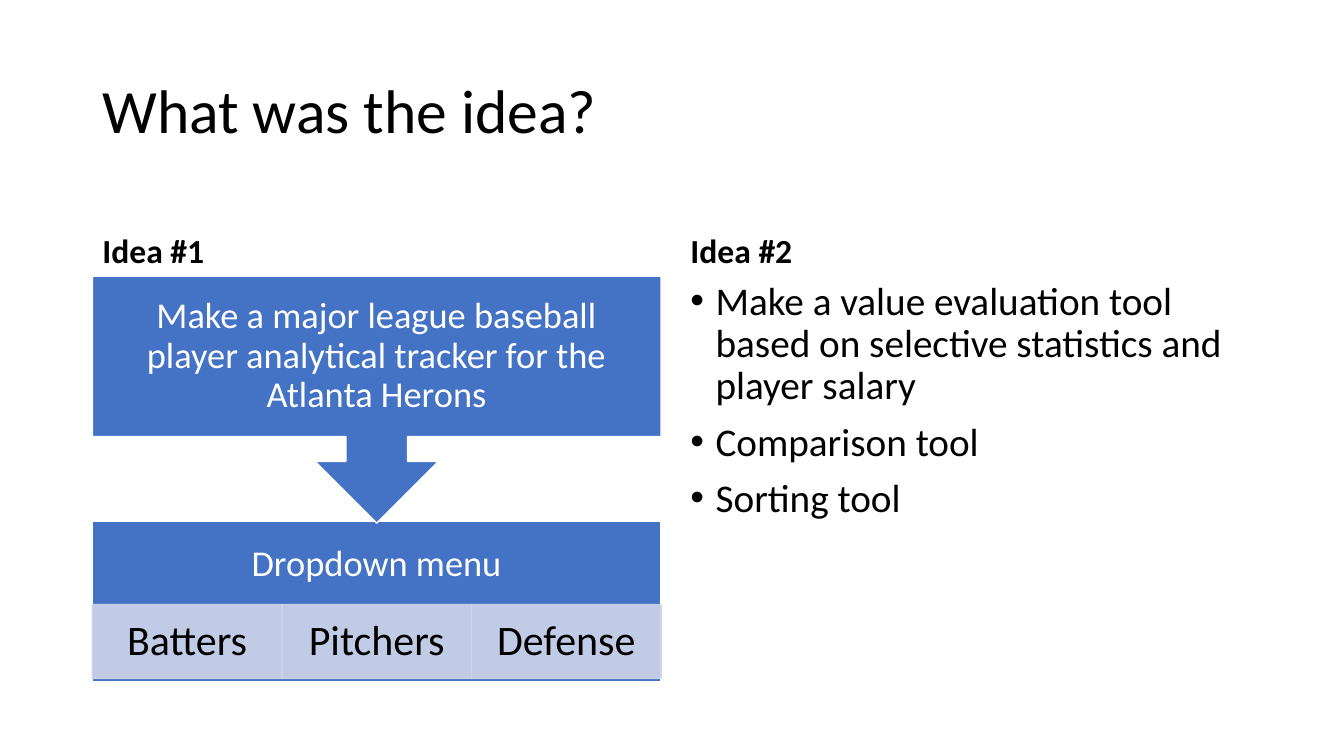
from collections import namedtuple

from lxml import etree
from pptx import Presentation
from pptx.dml.color import RGBColor
from pptx.enum.shapes import MSO_SHAPE
from pptx.enum.text import MSO_ANCHOR, MSO_AUTO_SIZE, PP_ALIGN
from pptx.oxml.ns import qn
from pptx.util import Pt

RECTANGLE = MSO_SHAPE.RECTANGLE
ARROW_CALLOUT = MSO_SHAPE.UP_ARROW_CALLOUT
TOP, MIDDLE, BOTTOM = MSO_ANCHOR.TOP, MSO_ANCHOR.MIDDLE, MSO_ANCHOR.BOTTOM
LEFT, CENTER = PP_ALIGN.LEFT, PP_ALIGN.CENTER
NO_AUTOFIT = MSO_AUTO_SIZE.NONE

COLORS = {"black": "000000", "white": "FFFFFF", "blue": "4472C4", "pale": "CFD5EA"}
Box = namedtuple("Box", "left top width height")

TITLE_BOX = Box(66, 28.8, 828, 104.4)
LEFT_COLUMN = Box(66, 132.4, 406.2, 355)
RIGHT_COLUMN = Box(486, 132.4, 408.2, 355)
HEADING_HEIGHT = 64.8
STEP_INSETS = (14.4, 14.4)
TILE_INSETS = (16.5, 3)


def color(name):
    return RGBColor.from_string(COLORS[name])


def set_values(target, values):
    for name, value in values.items():
        setattr(target, name, value)


def place(shape, box):
    set_values(shape, {name: Pt(value) for name, value in box._asdict().items()})


def write(shape, lines, size, ink="black", bold=False, anchor=MIDDLE,
          align=LEFT, before=0, insets=(7.2, 3.6)):
    frame = shape.text_frame
    frame.text = "\n".join(lines)
    side, edge = map(Pt, insets)
    set_values(frame, {
        "word_wrap": True, "auto_size": NO_AUTOFIT, "vertical_anchor": anchor,
        "margin_left": side, "margin_right": side,
        "margin_top": edge, "margin_bottom": edge,
    })
    for paragraph in frame.paragraphs:
        set_values(paragraph, {"alignment": align, "line_spacing": 0.9,
                               "space_before": Pt(before), "space_after": Pt(0)})
        for run in paragraph.runs:
            set_values(run.font, {"name": "Calibri", "size": Pt(size), "bold": bold})
            run.font.color.rgb = color(ink)


def add_panel(slide, kind, box, fill, line, opacity=100):
    shape = slide.shapes.add_shape(kind, *map(Pt, box))
    shape.shadow.inherit = False
    shape.fill.solid()
    shape.fill.fore_color.rgb = color(fill)
    shape.line.color.rgb = color(line)
    shape.line.width = Pt(1)
    if opacity < 100:
        for node in shape._element.spPr.iter(qn("a:srgbClr")):
            etree.SubElement(node, qn("a:alpha"), val=str(opacity * 1000))
    return shape


def add_step(slide, kind, box, text, text_height, rotation=0):
    panel = add_panel(slide, kind, box, "blue", "white")
    panel.rotation = rotation
    label = slide.shapes.add_textbox(*map(Pt, box._replace(height=text_height)))
    write(label, [text], 26, "white", align=CENTER, insets=STEP_INSETS)


def add_tiles(slide, box, names):
    width = box.width / len(names)
    for index, name in enumerate(names):
        tile_box = box._replace(left=box.left + index * width, width=width)
        tile = add_panel(slide, RECTANGLE, tile_box, "pale", "pale", opacity=90)
        write(tile, [name], 30, align=CENTER, insets=TILE_INSETS)


def add_flow(slide, box):
    menu = box._replace(top=box.top + 174.9, height=115.2)
    add_step(slide, RECTANGLE, menu, "Dropdown menu", 62)
    add_tiles(slide, menu._replace(top=menu.top + 59.8, height=52.8),
              ["Batters", "Pitchers", "Defense"])
    add_step(slide, ARROW_CALLOUT, box._replace(height=176.4),
             "Make a major league baseball player analytical tracker for the Atlanta Herons",
             114.6, rotation=180)


def fill_heading(placeholder, box, text):
    place(placeholder, box._replace(height=HEADING_HEIGHT))
    write(placeholder, [text], 24, bold=True, anchor=BOTTOM, before=10)


def fill_bullets(placeholder, box, lines):
    place(placeholder, box)
    write(placeholder, lines, 28, anchor=TOP, before=10)
    for paragraph in placeholder.text_frame.paragraphs:
        properties = paragraph._p.get_or_add_pPr()
        properties.set("marL", str(Pt(18)))
        properties.set("indent", str(-Pt(18)))
        etree.SubElement(properties, qn("a:buFont"), typeface="Arial")
        etree.SubElement(properties, qn("a:buChar"), char="•")


def below_heading(column):
    return column._replace(top=column.top + HEADING_HEIGHT,
                           height=column.height - HEADING_HEIGHT)


def build_comparison(presentation):
    slide = presentation.slides.add_slide(presentation.slide_layouts[4])
    title, first_heading, first_body, second_heading, second_body = slide.placeholders
    place(title, TITLE_BOX)
    write(title, ["What was the idea?"], 44)
    fill_heading(first_heading, LEFT_COLUMN, "Idea #1")
    first_body._element.getparent().remove(first_body._element)
    add_flow(slide, below_heading(LEFT_COLUMN))
    fill_heading(second_heading, RIGHT_COLUMN, "Idea #2")
    fill_bullets(second_body, below_heading(RIGHT_COLUMN), [
        "Make a value evaluation tool based on selective statistics and player salary",
        "Comparison tool",
        "Sorting tool",
    ])


presentation = Presentation()
set_values(presentation, {"slide_width": Pt(960), "slide_height": Pt(540)})
build_comparison(presentation)
presentation.save("out.pptx")
